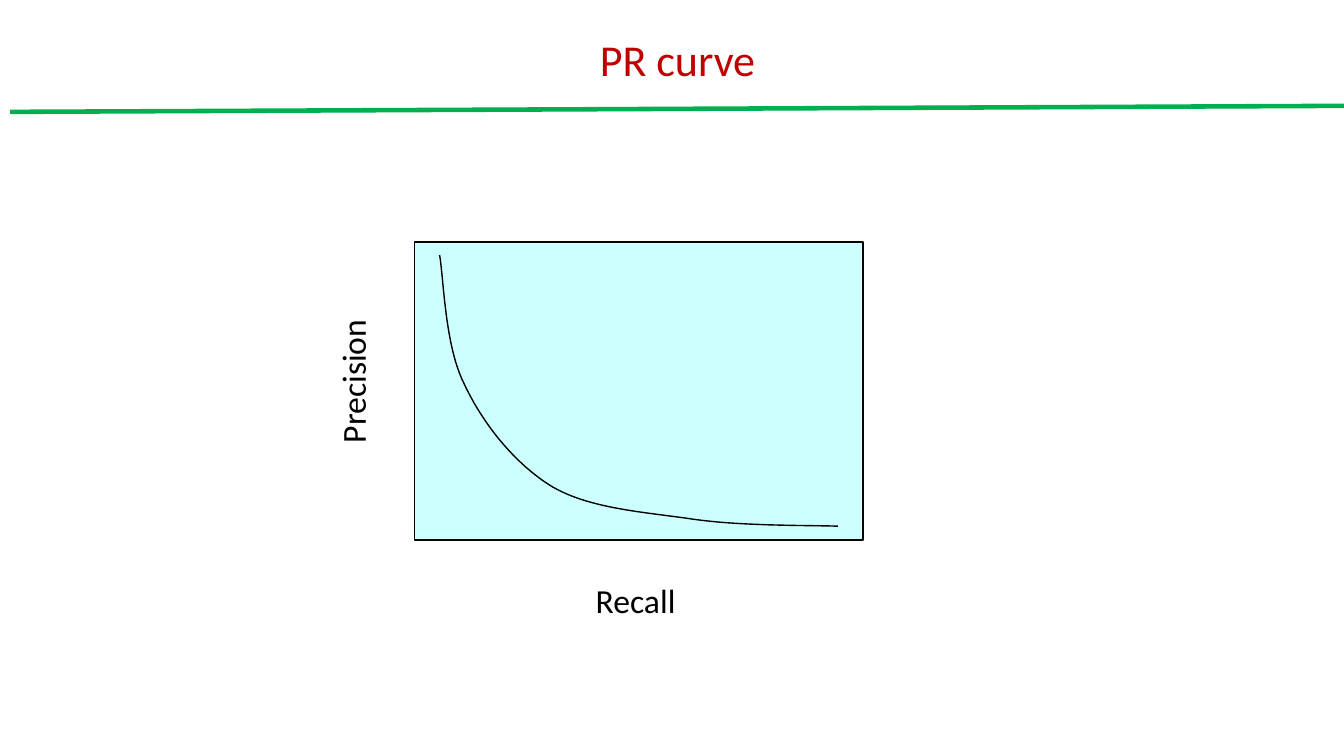
from dataclasses import dataclass

from lxml.etree import SubElement
from pptx import Presentation
from pptx.dml.color import RGBColor
from pptx.enum.shapes import MSO_CONNECTOR, MSO_SHAPE
from pptx.enum.text import MSO_ANCHOR, MSO_AUTO_SIZE, PP_ALIGN
from pptx.oxml.ns import qn
from pptx.slide import Slide
from pptx.text.text import _Paragraph
from pptx.util import Inches, Pt

BLACK = RGBColor(0x00, 0x00, 0x00)
CYAN = RGBColor(0xCC, 0xFF, 0xFF)
GREEN = RGBColor(0x00, 0xB0, 0x50)
RED = RGBColor(0xC0, 0x00, 0x00)
FONT = "Calibri"
STEPS = 24

Point = tuple[float, float]


@dataclass
class Label:
    text: str
    left: float
    top: float
    width: float
    turn: float = 0


@dataclass
class Bend:
    out: Point
    into: Point
    end: Point


LABELS = [
    Label("Recall", 5.81, 5.7, 1.05),
    Label("Precision", 2.75, 3.5, 1.49, 270),
]
START = (4.36, 2.53)
BENDS = [
    Bend((4.4, 2.74), (4.41, 3.42), (4.6, 3.8)),
    Bend((4.78, 4.19), (5.1, 4.6), (5.48, 4.83)),
    Bend((5.86, 5.05), (6.4, 5.08), (6.87, 5.15)),
    Bend((7.35, 5.22), (8.01, 5.21), (8.31, 5.22)),
]


def style(para: _Paragraph, size: float, color: RGBColor) -> None:
    para.font.name = FONT
    para.font.size = Pt(size)
    para.font.color.rgb = color


def add_title(slide: Slide, text: str) -> None:
    title = slide.shapes.title
    title.left, title.top = Inches(5.22), Inches(0.35)
    title.width, title.height = Inches(3), Inches(0.53)
    frame = title.text_frame
    frame.text = text
    frame.word_wrap = True
    frame.auto_size = MSO_AUTO_SIZE.NONE
    frame.vertical_anchor = MSO_ANCHOR.BOTTOM
    para = frame.paragraphs[0]
    para.alignment = PP_ALIGN.CENTER
    para.line_spacing = 0.7
    style(para, 31.5, RED)


def add_rule(slide: Slide) -> None:
    rule = slide.shapes.add_connector(
        MSO_CONNECTOR.STRAIGHT,
        Inches(0.1), Inches(1.11), Inches(13.33), Inches(1.05),
    )
    rule.line.color.rgb = GREEN
    rule.line.width = Pt(3.25)
    SubElement(rule._element.spPr, qn("a:effectLst"))


def add_plot(slide: Slide) -> None:
    plot = slide.shapes.add_shape(
        MSO_SHAPE.RECTANGLE,
        Inches(4.11), Inches(2.4), Inches(4.45), Inches(2.96),
    )
    plot.shadow.inherit = False
    plot.fill.solid()
    plot.fill.fore_color.rgb = CYAN
    plot.line.color.rgb = BLACK
    plot.line.width = Pt(1)


def add_label(slide: Slide, label: Label) -> None:
    box = slide.shapes.add_textbox(
        Inches(label.left), Inches(label.top), Inches(label.width), Inches(0.5)
    )
    box.rotation = label.turn
    frame = box.text_frame
    frame.text = label.text
    frame.word_wrap = False
    frame.auto_size = MSO_AUTO_SIZE.SHAPE_TO_FIT_TEXT
    style(frame.paragraphs[0], 24, BLACK)


def trace(start: Point, bend: Bend) -> list[Point]:
    points = []
    for step in range(1, STEPS + 1):
        t = step / STEPS
        u = 1 - t
        x, y = (
            u**3 * a + 3 * u * u * t * b + 3 * u * t * t * c + t**3 * d
            for a, b, c, d in zip(start, bend.out, bend.into, bend.end)
        )
        points.append((Inches(x), Inches(y)))
    return points


def add_curve(slide: Slide) -> None:
    pen = slide.shapes.build_freeform(Inches(START[0]), Inches(START[1]))
    start = START
    for bend in BENDS:
        pen.add_line_segments(trace(start, bend), close=False)
        start = bend.end
    curve = pen.convert_to_shape()
    curve.shadow.inherit = False
    curve.fill.background()
    curve.line.color.rgb = BLACK
    curve.line.width = Pt(1)


def main() -> None:
    deck = Presentation()
    deck.slide_width = Inches(13.33)
    deck.slide_height = Inches(7.5)
    slide = deck.slides.add_slide(deck.slide_layouts[5])
    add_title(slide, "PR curve")
    add_rule(slide)
    add_plot(slide)
    for label in LABELS:
        add_label(slide, label)
    add_curve(slide)
    deck.save("out.pptx")


if __name__ == "__main__":
    main()
